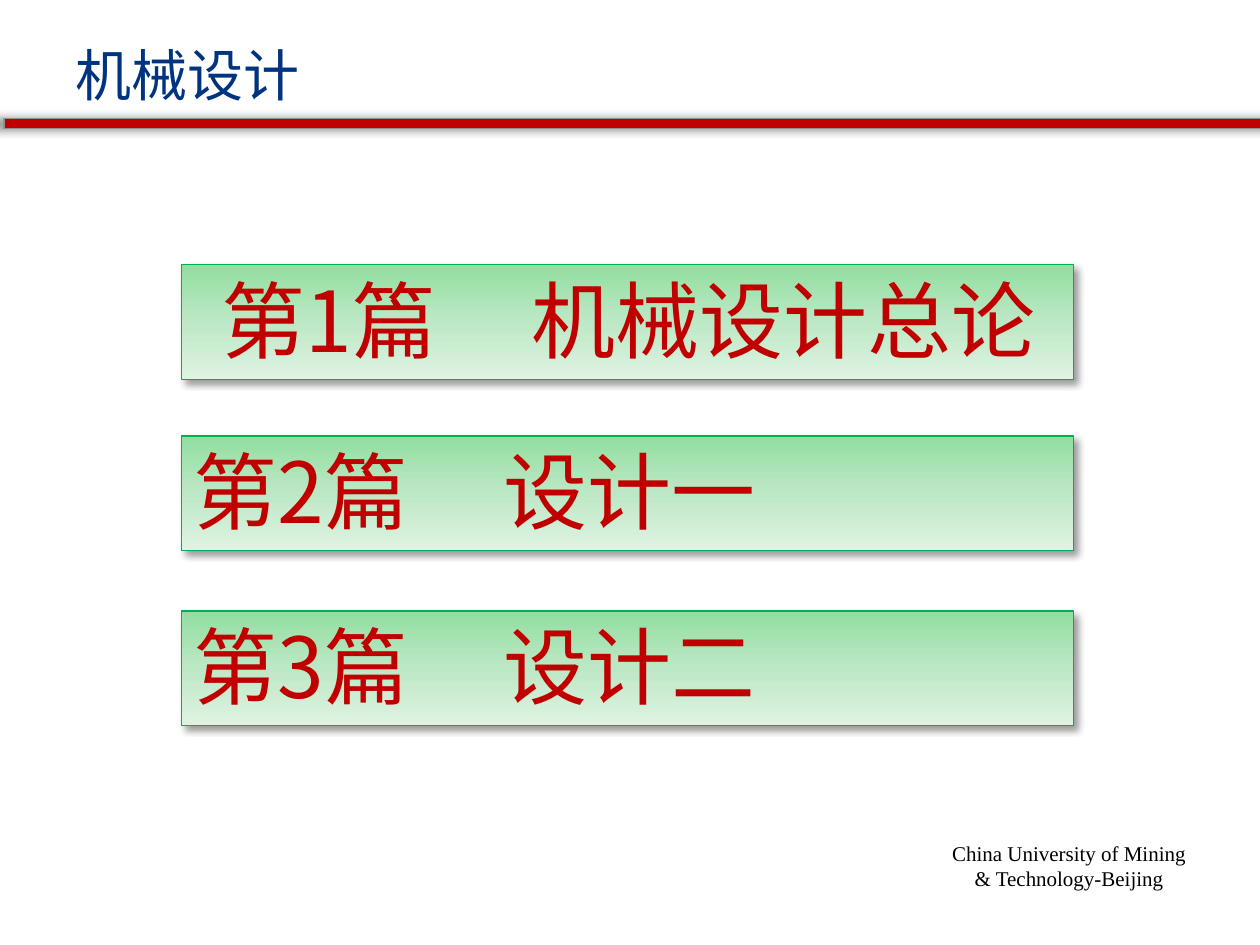
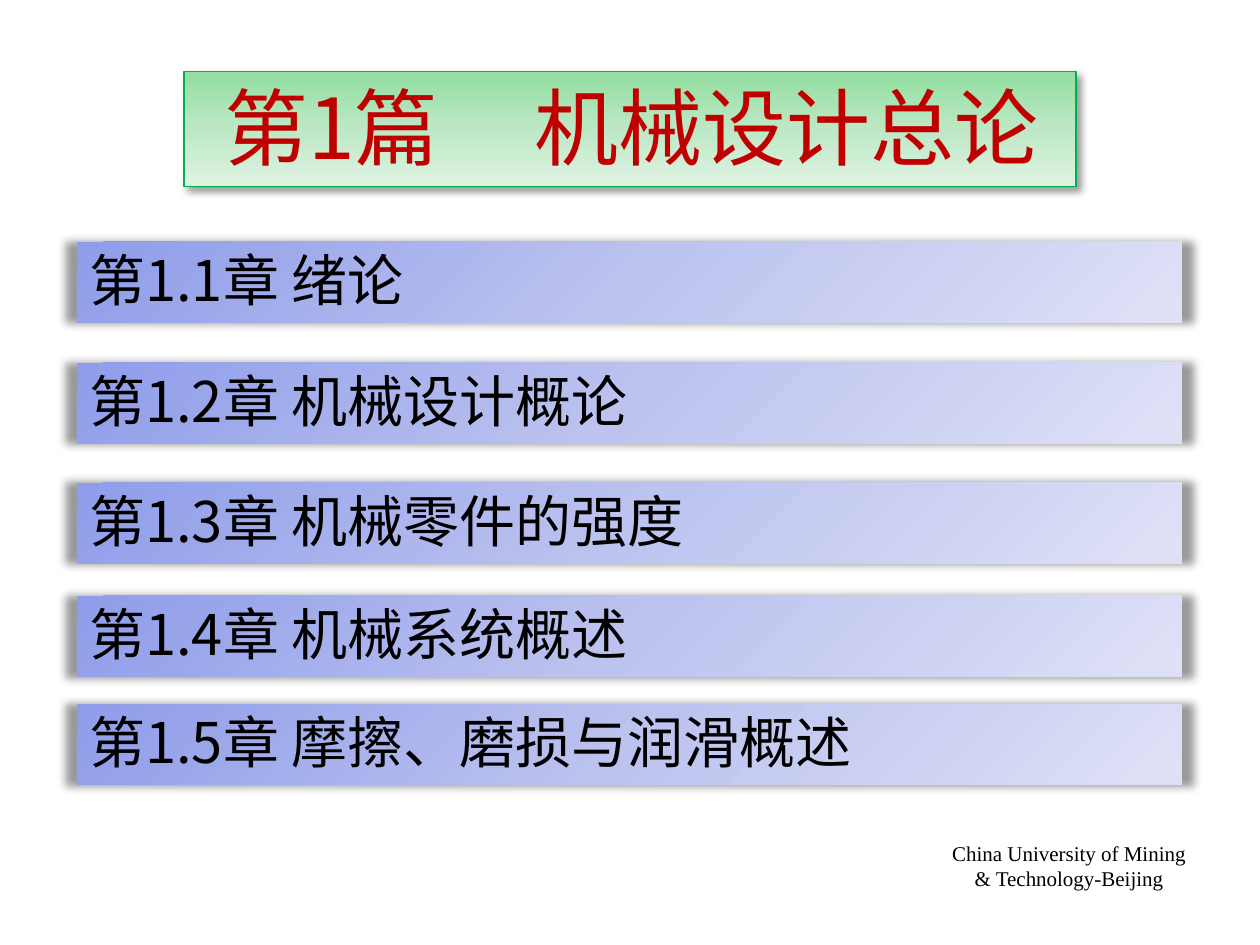
from dataclasses import dataclass

from lxml import etree
from pptx import Presentation
from pptx.dml.color import RGBColor
from pptx.enum.shapes import MSO_SHAPE
from pptx.enum.text import MSO_ANCHOR, MSO_AUTO_SIZE, PP_ALIGN
from pptx.oxml.ns import qn
from pptx.util import Inches, Pt

RECTANGLE = MSO_SHAPE.RECTANGLE
LEFT, CENTER = PP_ALIGN.LEFT, PP_ALIGN.CENTER
TOP, MIDDLE = MSO_ANCHOR.TOP, MSO_ANCHOR.MIDDLE
NO_FIT = MSO_AUTO_SIZE.NONE

RED = RGBColor(0xC0, 0x00, 0x00)
NAVY = RGBColor(0x00, 0x33, 0x80)
BLACK = RGBColor(0x00, 0x00, 0x00)
GRAY = RGBColor(0x90, 0x90, 0x90)
GREEN = RGBColor(0x00, 0xB0, 0x50)
GREENS = [RGBColor(0x91, 0xDE, 0xA0), RGBColor(0xBD, 0xE8, 0xC5), RGBColor(0xDF, 0xF3, 0xE3)]
BLUES = [RGBColor(0x8F, 0x9C, 0xE9), RGBColor(0xBC, 0xC3, 0xEF), RGBColor(0xDE, 0xE1, 0xF6)]

CJK_FONT = "Noto Sans CJK SC"
FOOTER_FONT = "Times New Roman"
TITLE_ONLY = 5
COLUMNS, ROWS = 100, 75
CELL = Inches(10) // COLUMNS

PART_TAB = Inches(2.46)
PART_INSET = Inches(0.1)
FIRST_PART = "第1篇\t机械设计总论"
FIRST_PART_INSET = Inches(0.32)
PARTS = [
    (21, FIRST_PART, FIRST_PART_INSET),
    (34.6, "第2篇\t设计一", PART_INSET),
    (48.5, "第3篇\t设计二", PART_INSET),
]
CHAPTERS = [
    (19.2, "第1.1章 绪论"),
    (28.8, "第1.2章 机械设计概论"),
    (38.3, "第1.3章 机械零件的强度"),
    (47.3, "第1.4章 机械系统概述"),
    (55.9, "第1.5章 摩擦、磨损与润滑概述"),
]


@dataclass
class Box:
    """A region in columns and rows of the slide grid."""
    column: float
    row: float
    columns: float
    rows: float

    def lengths(self):
        return [round(cells * CELL) for cells in (self.column, self.row, self.columns, self.rows)]


def move(shape, box):
    shape.left, shape.top, shape.width, shape.height = box.lengths()


def add_rectangle(page, box):
    return page.shapes.add_shape(RECTANGLE, *box.lengths())


def fill_gradient(shape, colors, angle):
    """Fill with evenly spaced stops, the angle running clockwise."""
    shape.fill.gradient()
    shape.fill.gradient_angle = 360 - angle
    stops = shape._element.spPr.find(qn("a:gradFill")).find(qn("a:gsLst"))
    for stop in list(stops):
        stops.remove(stop)
    for index, color in enumerate(colors):
        position = index * 100000 // (len(colors) - 1)
        stop = etree.SubElement(stops, qn("a:gs"), pos=str(position))
        etree.SubElement(stop, qn("a:srgbClr"), val=str(color))


def cast_shadow(shape, blur, distance=0, angle=0, **scale):
    shape.shadow.inherit = False
    effects = shape._element.spPr.find(qn("a:effectLst"))
    shadow = etree.SubElement(
        effects, qn("a:outerShdw"), blurRad=str(Pt(blur)), dist=str(Pt(distance)),
        dir=str(angle * 60000), rotWithShape="0", **scale)
    color = etree.SubElement(shadow, qn("a:srgbClr"), val=str(BLACK))
    etree.SubElement(color, qn("a:alpha"), val="40000")


def cast_halo(shape):
    cast_shadow(shape, 5, sx="102000", sy="102000", algn="ctr")


def write(shape, text, size, color, font=CJK_FONT, align=LEFT, anchor=MIDDLE,
          inset=Inches(0.1), tab=None):
    frame = shape.text_frame
    frame.auto_size = NO_FIT
    frame.word_wrap = True
    frame.vertical_anchor = anchor
    frame.margin_left = inset
    frame.margin_right = Inches(0.1)
    frame.margin_top = Inches(0.05) if anchor == TOP else 0
    frame.margin_bottom = Inches(0.05)
    frame.text = text
    para = frame.paragraphs[0]
    para.alignment = align
    para.space_before = Pt(0)
    if tab:
        tabs = etree.SubElement(para._p.get_or_add_pPr(), qn("a:tabLst"))
        etree.SubElement(tabs, qn("a:tab"), pos=str(tab), algn="l")
    para.font.size = Pt(size)
    para.font.color.rgb = color
    para.font.name = font
    etree.SubElement(para._p.pPr.find(qn("a:defRPr")), qn("a:ea"), typeface=font)


def style_part_banner(shape, text, inset):
    fill_gradient(shape, GREENS, 90)
    shape.line.color.rgb = GREEN
    shape.line.width = Pt(0.75)
    cast_shadow(shape, 4, 3, 45)
    write(shape, text, 48, RED, inset=inset, tab=PART_TAB)


def add_chapter_bar(page, box, text):
    bar = add_rectangle(page, box)
    fill_gradient(bar, BLUES, 45)
    bar.line.fill.background()
    cast_halo(bar)
    write(bar, text, 32, BLACK)


def add_title_rule(page, box):
    rule = add_rectangle(page, box)
    rule.fill.solid()
    rule.fill.fore_color.rgb = RED
    rule.line.color.rgb = GRAY
    rule.line.width = Pt(1)
    cast_halo(rule)


def add_footer(page, box):
    footer = page.shapes.add_textbox(*box.lengths())
    write(footer, "China University of Mining & Technology-Beijing", 12, BLACK,
          FOOTER_FONT, CENTER, TOP)


def add_page(deck):
    page = deck.slides.add_slide(deck.slide_layouts[TITLE_ONLY])
    add_footer(page, Box(74.5, 66.2, 20.7, 3.3))
    return page


def build_parts_page(deck):
    page = add_page(deck)
    title = page.shapes.title
    move(title, Box(5, 2.9, 54.5, 6.4))
    write(title, "机械设计", 32, NAVY)
    add_title_rule(page, Box(0.3, 9.4, 99.8, 0.8))
    for row, text, inset in PARTS:
        banner = add_rectangle(page, Box(14.4, row, 70.8, 9.1))
        style_part_banner(banner, text, inset)


def build_chapters_page(deck):
    page = add_page(deck)
    title = page.shapes.title
    move(title, Box(14.6, 5.7, 70.8, 9.1))
    style_part_banner(title, FIRST_PART, FIRST_PART_INSET)
    for row, text in CHAPTERS:
        add_chapter_bar(page, Box(6.1, row, 87.7, 6.4), text)


def main():
    deck = Presentation()
    deck.slide_width = COLUMNS * CELL
    deck.slide_height = ROWS * CELL
    build_parts_page(deck)
    build_chapters_page(deck)
    deck.save("out.pptx")


if __name__ == "__main__":
    main()
